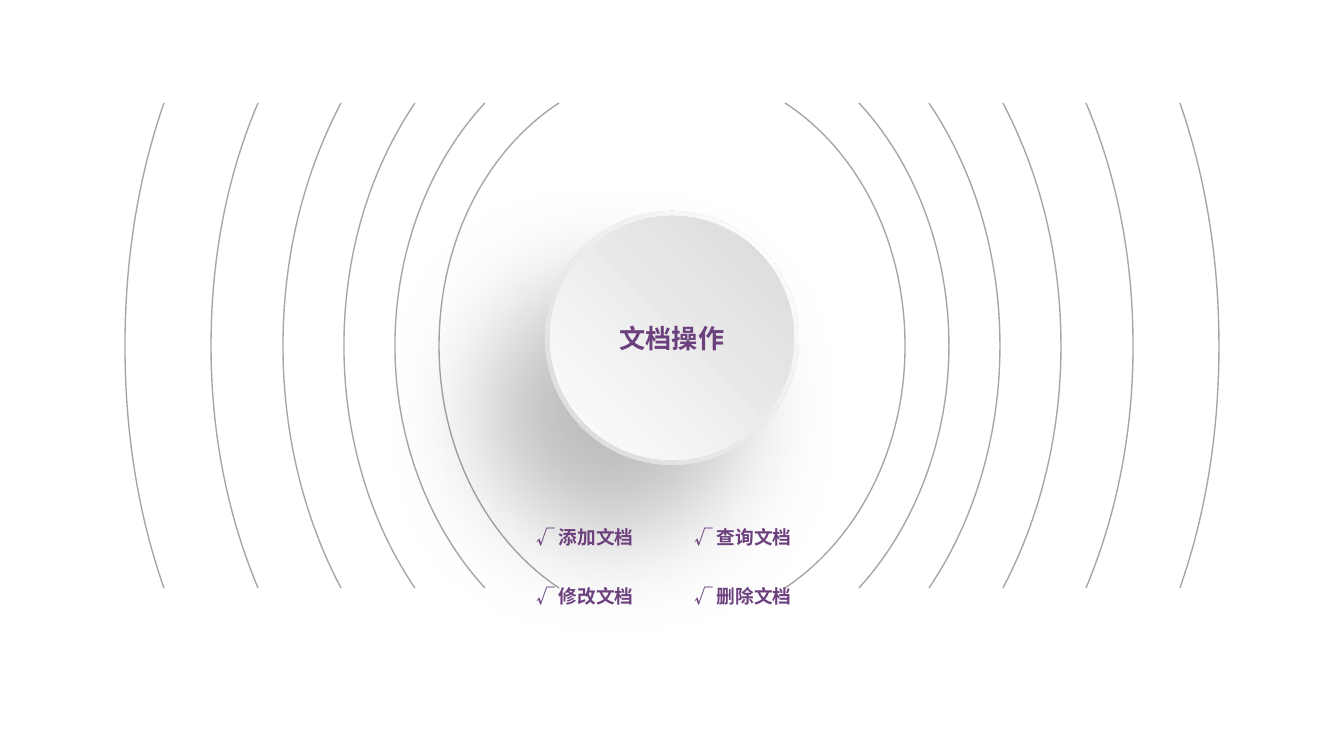
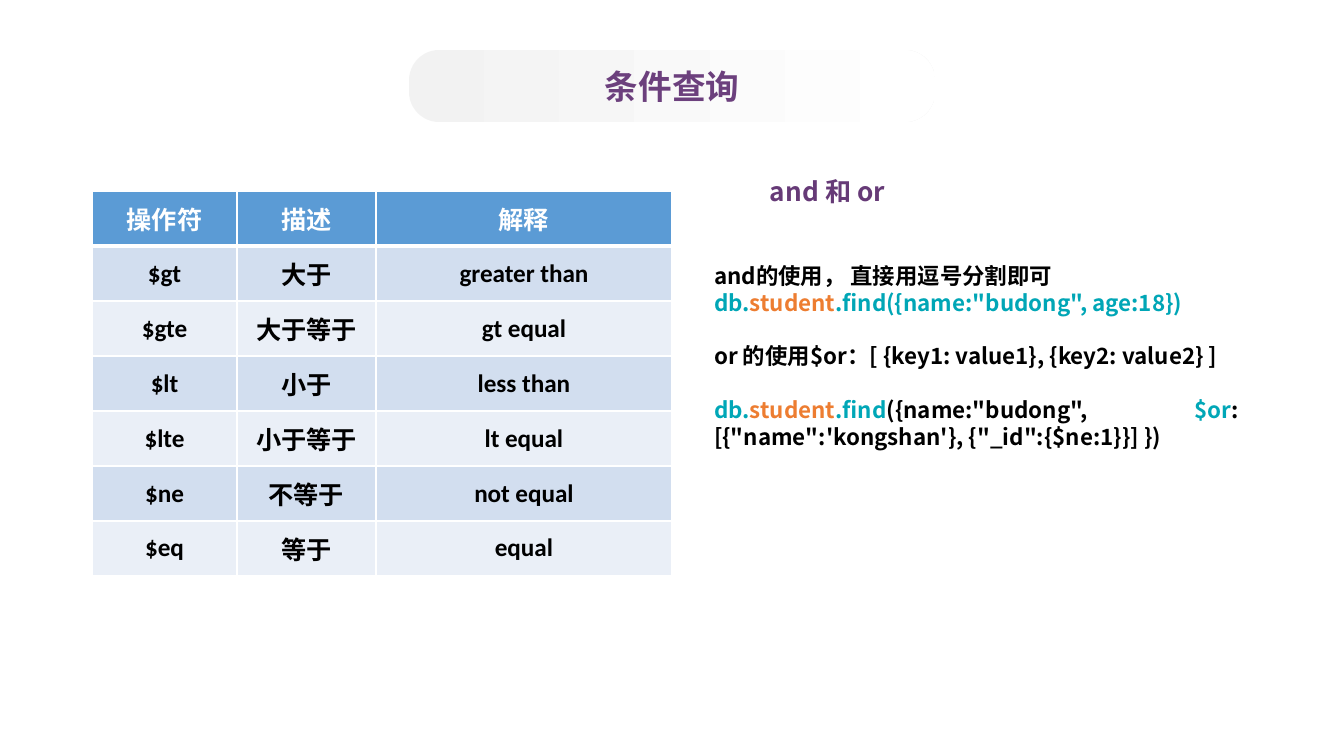
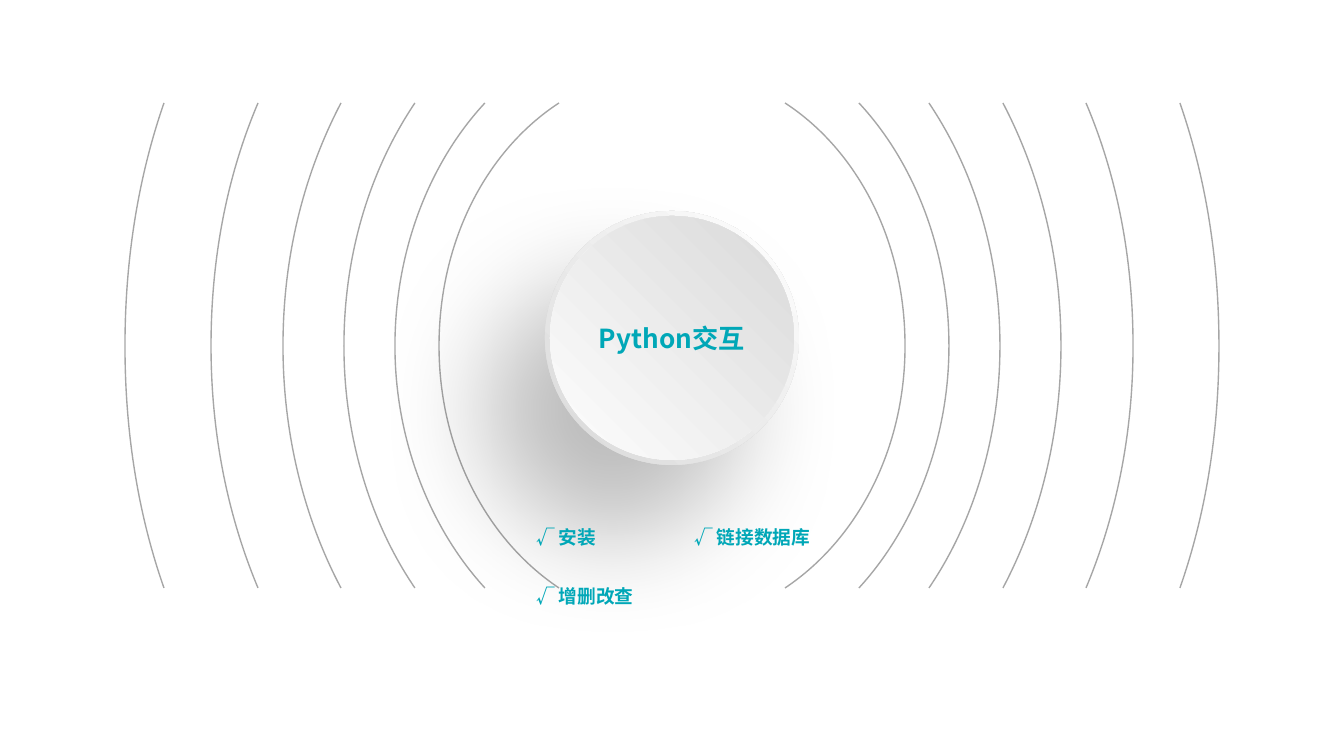
import lxml.etree
import pptx
import pptx.dml.color
import pptx.enum.shapes
import pptx.enum.text
import pptx.oxml.ns
import pptx.util

SCALE = 914400 / 134.4
CENTER_X, CENTER_Y = 672, 345.5
ARC_HALF_HEIGHT = 242.5
FONT, TABLE_FONT = "Noto Sans CJK SC", "Calibri"
PURPLE, DARK_PURPLE, TEAL, ORANGE = "6C407D", "663A77", "00A7B7", "ED7D31"
BLACK, WHITE, ARC_GREY = "000000", "FFFFFF", "A6A6A6"
HEADER_BLUE, ROW_FILLS = "5B9BD5", ("D2DEEF", "EAEFF7")
ALIGN = pptx.enum.text.PP_ALIGN
ANCHOR = pptx.enum.text.MSO_ANCHOR
SHAPES = pptx.enum.shapes.MSO_SHAPE

# Each arc: end, bend and reach from the centre line; upper and lower rise of its bends.
ARCS = [
    (113, 185, 233, 195, 105),
    (187, 242, 277, 183, 95),
    (257, 302, 328, 176, 91),
    (331, 368, 389, 172, 89),
    (414, 445, 461, 169, 87),
    (508, 534, 547, 168, 86),
]

OPERATORS = [
    ("操作符", "描述", "解释"),
    ("$gt", "大于", "greater than"),
    ("$gte", "大于等于", "gt equal"),
    ("$lt", "小于", "less than"),
    ("$lte", "小于等于", "lt equal"),
    ("$ne", "不等于", "not equal"),
    ("$eq", "等于", "equal"),
]

QUERY_NOTES = [
    (0, [("and的使用, 直接用逗号分割即可".replace(", ", "， "), BLACK)]),
    (0, [("db.", "00A6B6"), ("student", ORANGE),
         ('.find({name:"budong", age:18})', "00A6B6")]),
    (14.4, [("or 的使用$or：[ {key1: value1}, {key2: value2} ]", BLACK)]),
    (14.4, [("db.", TEAL), ("student", ORANGE), (".find", TEAL),
            ('({name:"budong", ', BLACK), ("$or", TEAL),
            (":[{\"name\":'kongshan'}, {\"_id\":{$ne:1}}] })", BLACK)]),
]


def px(value):
    return pptx.util.Emu(round(value * SCALE))


def rgb(color):
    return pptx.dml.color.RGBColor.from_string(color)


def child(parent, tag, **attributes):
    values = {name: str(value) for name, value in attributes.items()}
    return lxml.etree.SubElement(parent, pptx.oxml.ns.qn(tag), values)


def place(shape, left, top, width, height):
    shape.left, shape.top = px(left), px(top)
    shape.width, shape.height = px(width), px(height)


def add_run(paragraph, text, size, color, font=FONT):
    run = paragraph.add_run()
    run.text = text
    run.font.size = pptx.util.Pt(size)
    run.font.bold = True
    run.font.color.rgb = rgb(color)
    run.font.name = font
    child(run.font._element, "a:ea", typeface=FONT)


def format_paragraph(paragraph, size, align, gap=0):
    paragraph.alignment = align
    paragraph.line_spacing = pptx.util.Pt(round(size * 1.2, 1))
    paragraph.space_before = pptx.util.Pt(gap)


def set_frame(frame, side, edge, anchor):
    frame.word_wrap = True
    frame.auto_size = pptx.enum.text.MSO_AUTO_SIZE.NONE
    frame.vertical_anchor = anchor
    frame.margin_left = frame.margin_right = px(side)
    frame.margin_top = frame.margin_bottom = px(edge)


def add_title(slide, text, box, size, color):
    title = slide.shapes.title
    title.element.getparent().append(title.element)
    place(title, *box)
    set_frame(title.text_frame, 0, 7, ANCHOR.MIDDLE)
    paragraph = title.text_frame.paragraphs[0]
    format_paragraph(paragraph, size, ALIGN.CENTER)
    add_run(paragraph, text, size, color)


def add_label(slide, text, box, size, color, insets):
    label = slide.shapes.add_textbox(*map(px, box))
    set_frame(label.text_frame, *insets, ANCHOR.TOP)
    paragraph = label.text_frame.paragraphs[0]
    format_paragraph(paragraph, size, ALIGN.LEFT)
    add_run(paragraph, text, size, color)


def add_gradient_shape(shapes, kind, box, colors, circular):
    shape = shapes.add_shape(kind, *map(px, box))
    shape.line.fill.background()
    shape.shadow.inherit = False
    shape.fill.background()
    properties = shape.element.spPr
    empty_fill = properties.find(pptx.oxml.ns.qn("a:noFill"))
    gradient = lxml.etree.Element(pptx.oxml.ns.qn("a:gradFill"), rotWithShape="1")
    stops = child(gradient, "a:gsLst")
    for position, color in zip((0, 100000), colors):
        child(child(stops, "a:gs", pos=position), "a:srgbClr", val=color)
    if circular:
        focus = child(gradient, "a:path", path="circle")
        child(focus, "a:fillToRect", l=100000, b=100000)
    else:
        child(gradient, "a:lin", ang=0, scaled=0)
    properties.replace(empty_fill, gradient)
    return shape


def add_soft_shadow(shape):
    effects = shape.element.spPr.find(pptx.oxml.ns.qn("a:effectLst"))
    shadow = child(effects, "a:outerShdw", blurRad=pptx.util.Pt(60),
                   dist=pptx.util.Pt(50), dir=130 * 60000,
                   algn="ctr", rotWithShape=0)
    child(child(shadow, "a:srgbClr", val=BLACK), "a:alpha", val=25000)


def curve_segments(shape):
    line_tag = pptx.oxml.ns.qn("a:lnTo")
    lines = list(shape.element.iter(line_tag))
    for start in range(0, len(lines), 3):
        curve = lxml.etree.Element(pptx.oxml.ns.qn("a:cubicBezTo"))
        lines[start].addprevious(curve)
        for line in lines[start:start + 3]:
            curve.append(line[0])
            line.getparent().remove(line)


def add_arc_pair(slide, end, bend, reach, upper, lower):
    offsets = [(end, -ARC_HALF_HEIGHT), (bend, -upper), (reach, -lower), (reach, 0),
               (reach, lower), (bend, upper), (end, ARC_HALF_HEIGHT)]
    right, left = [[(CENTER_X + side * x, CENTER_Y + side * y) for x, y in offsets]
                   for side in (1, -1)]
    builder = slide.shapes.build_freeform(*right[0], scale=SCALE)
    builder.add_line_segments(right[1:], close=False)
    builder.move_to(*left[0])
    builder.add_line_segments(left[1:], close=False)
    arcs = builder.convert_to_shape()
    curve_segments(arcs)
    arcs.fill.background()
    arcs.line.color.rgb = rgb(ARC_GREY)
    arcs.line.width = pptx.util.Pt(0.75)
    arcs.shadow.inherit = False


def add_section_slide(presentation, title, topics, color):
    slide = presentation.slides.add_slide(presentation.slide_layouts[5])
    for arc in ARCS:
        add_arc_pair(slide, *arc)
    button = slide.shapes.add_group_shape()
    rim = add_gradient_shape(button.shapes, SHAPES.OVAL, (545, 211, 254, 254),
                             (WHITE, "D9D9D9"), True)
    add_soft_shadow(rim)
    face = (550, 216, 244, 244)
    add_gradient_shape(button.shapes, SHAPES.OVAL, face, ("D9D9D9", "FEFEFE"), True)
    add_title(slide, title, face, 14, color)
    for index, topic in enumerate(topics):
        row, column = divmod(index, 2)
        box = (527 + 158 * column, 522 + 59 * row, 150, 32)
        add_label(slide, "√ " + topic, box, 10, color, (9, 4))


def set_borders(cell, bottom_width):
    properties = cell._tc.get_or_add_tcPr()
    for tag, width in (("a:lnL", 1), ("a:lnR", 1), ("a:lnT", 1), ("a:lnB", bottom_width)):
        border = child(properties, tag, w=pptx.util.Pt(width))
        child(child(border, "a:solidFill"), "a:srgbClr", val=WHITE)


def add_operator_table(slide):
    widths, row_height = (145, 139, 296), 55
    frame = slide.shapes.add_table(len(OPERATORS), len(widths), px(92), px(191),
                                   px(sum(widths)), px(row_height * len(OPERATORS)))
    table = frame.table
    for column, width in zip(table.columns, widths):
        column.width = px(width)
    for row_index, texts in enumerate(OPERATORS):
        header = row_index == 0
        table.rows[row_index].height = px(row_height)
        for column_index, text in enumerate(texts):
            cell = table.cell(row_index, column_index)
            set_borders(cell, 3 if header else 1)
            cell.fill.solid()
            cell.fill.fore_color.rgb = rgb(
                HEADER_BLUE if header else ROW_FILLS[(row_index - 1) % 2])
            cell.vertical_anchor = ANCHOR.MIDDLE
            cell.margin_left = cell.margin_right = px(18)
            cell.margin_top = cell.margin_bottom = px(8)
            paragraph = cell.text_frame.paragraphs[0]
            paragraph.alignment = ALIGN.CENTER
            add_run(paragraph, text, 13.5, WHITE if header else BLACK, TABLE_FONT)


def add_query_notes(slide):
    body = slide.placeholders[1]
    place(body, 701, 255, 551, 203)
    set_frame(body.text_frame, 13, 7, ANCHOR.TOP)
    for index, (gap, runs) in enumerate(QUERY_NOTES):
        paragraph = (body.text_frame.add_paragraph() if index
                     else body.text_frame.paragraphs[0])
        format_paragraph(paragraph, 12, ALIGN.JUSTIFY, gap)
        properties = paragraph._p.get_or_add_pPr()
        properties.set("marL", "0")
        properties.set("indent", "0")
        child(properties, "a:buNone")
        for text, color in runs:
            add_run(paragraph, text, 12, color)


def add_query_slide(presentation):
    slide = presentation.slides.add_slide(presentation.slide_layouts[1])
    band = (409, 50, 526, 72)
    shape = add_gradient_shape(slide.shapes, SHAPES.ROUNDED_RECTANGLE, band,
                               ("F2F2F2", WHITE), False)
    shape.adjustments[0] = 0.42
    add_title(slide, "条件查询", band, 18, PURPLE)
    add_label(slide, "and 和 or", (757, 168, 176, 46), 14, DARK_PURPLE, (13, 7))
    add_query_notes(slide)
    add_operator_table(slide)


def main():
    presentation = pptx.Presentation()
    presentation.slide_width, presentation.slide_height = px(1344), px(756)
    add_section_slide(presentation, "文档操作",
                      ("添加文档", "查询文档", "修改文档", "删除文档"), PURPLE)
    add_query_slide(presentation)
    add_section_slide(presentation, "Python交互",
                      ("安装", "链接数据库", "增删改查"), TEAL)
    presentation.save("out.pptx")


main()
